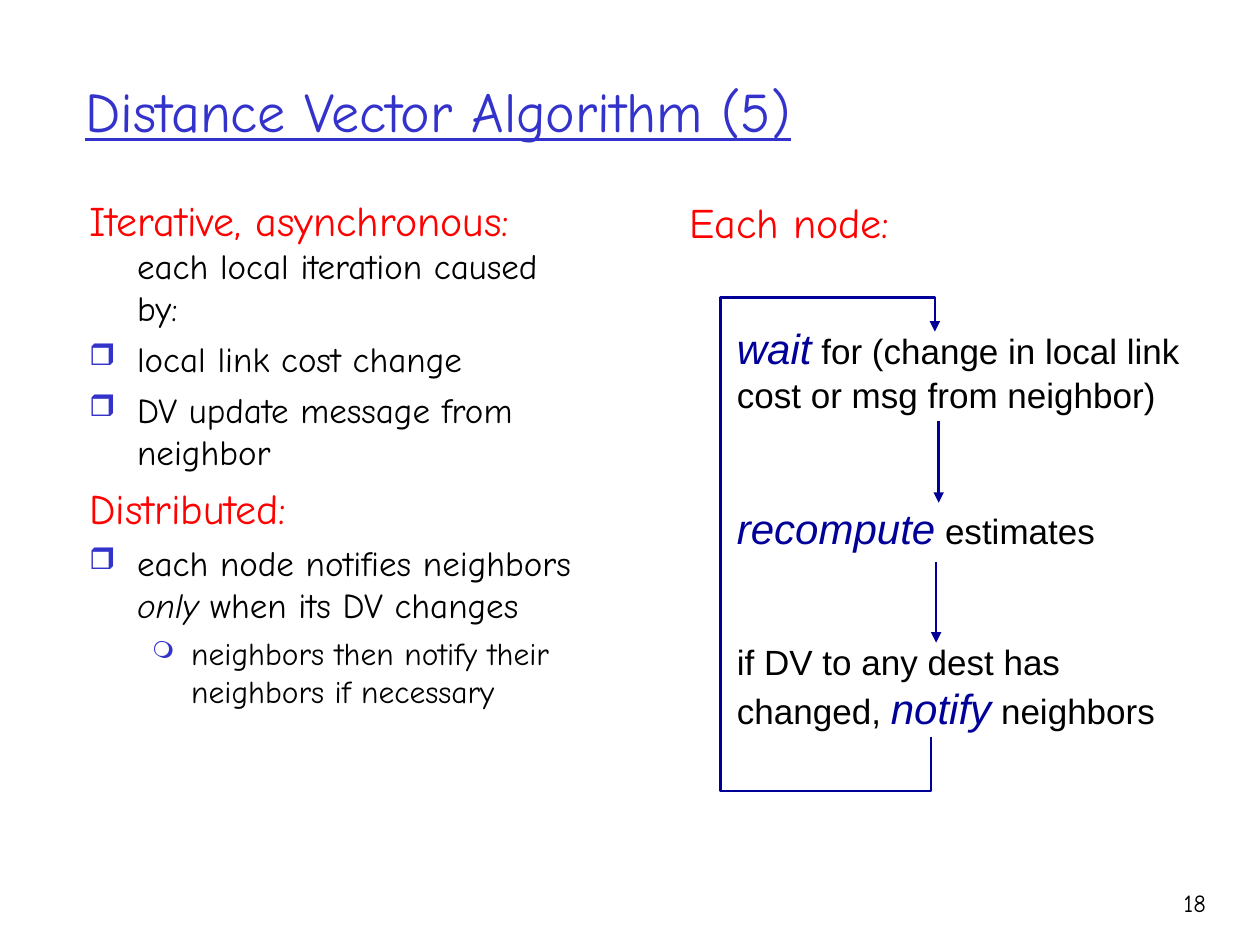
import pptx
import pptx.util
import pptx.dml.color
import pptx.enum.shapes
import pptx.enum.text
import pptx.oxml.ns
from lxml import etree

Pt = pptx.util.Pt
qn = pptx.oxml.ns.qn
Align = pptx.enum.text.PP_ALIGN
Anchor = pptx.enum.text.MSO_ANCHOR

THEME = {
    "hand": "Comic Neue", "sans": "Arial", "rule": 1.5,
    "blue": "3333CC", "navy": "000099", "red": "FF0000", "black": "000000",
    "title": 32, "head": 24, "text": 20, "sub": 18, "page": 14,
}

STYLE = {
    "title": ("hand", "title", "blue", "u"),
    "head": ("hand", "head", "red", ""),
    "text": ("hand", "text", "black", ""),
    "only": ("hand", "text", "black", "i"),
    "sub": ("hand", "sub", "black", ""),
    "page": ("hand", "page", "black", ""),
    "step": ("sans", "text", "black", ""),
    "verb": ("sans", "head", "navy", "i"),
}

LEVEL = {
    "plain": (0, 0, None, 0),
    "lead": (0.38, -0.38, None, 0),
    "item": (0.38, -0.38, "❒", 85),
    "sub": (0.81, -0.31, "❍", 75),
}

TITLE = [("plain", 0, [("title", "Distance Vector Algorithm (5)")])]
BODY = [
    ("lead", 0, [("head", "Iterative, asynchronous: "),
                 ("text", "each local iteration caused by:")]),
    ("item", 5, [("text", "local link cost change")]),
    ("item", 5, [("text", "DV update message from neighbor")]),
    ("lead", 6, [("head", "Distributed:")]),
    ("item", 5, [("text", "each node notifies neighbors "), ("only", "only"),
                 ("text", " when its DV changes")]),
    ("sub", 4.5, [("sub", "neighbors then notify their neighbors if necessary")]),
]
HEAD = [("plain", 0, [("head", "Each node:")])]
STEPS = [
    ("plain", 0, [("verb", "wait"),
                  ("step", " for (change in local link cost or msg from neighbor)")]),
    ("plain", 50, [("verb", "recompute"), ("step", " estimates")]),
    ("plain", 50, [("step", "if DV to any dest has changed, "), ("verb", "notify"),
                   ("step", " neighbors")]),
]
PAGE = [("plain", 0, [("page", "18")])]

BOXES = [
    (PAGE, (89.3, 93.3, 7.4, 6.7), Align.RIGHT, Anchor.TOP, True),
    (TITLE, (5.8, 3.3, 85, 16.7), Align.LEFT, Anchor.MIDDLE, True),
    (BODY, (6.1, 19.9, 41.4, 67.7), Align.LEFT, Anchor.TOP, True),
    (STEPS, (57.5, 33.5, 38.5, 50.8), Align.LEFT, Anchor.TOP, True),
    (HEAD, (53.7, 20.1, 17.9, 6.7), Align.CENTER, Anchor.TOP, False),
]
DROPS = [(74.5, 44.5, 53.2), (74.3, 59.5, 68)]
LOOP = [(73.9, 78), (73.9, 83.7), (57.2, 83.7),
        (57.2, 31.5), (74.2, 31.5), (74.2, 35.1)]

deck = pptx.Presentation()
deck.slide_width = pptx.util.Inches(10)
deck.slide_height = pptx.util.Inches(7.5)
slide = deck.slides.add_slide(deck.slide_layouts[6])


def across(share):
    return round(deck.slide_width * share / 100)


def down(share):
    return round(deck.slide_height * share / 100)


def color(name):
    return pptx.dml.color.RGBColor.from_string(THEME[name])


def add_run(para, kind, text):
    face, size, ink, marks = STYLE[kind]
    run = para.add_run()
    run.text = text
    font = run.font
    font.name = THEME[face]
    font.size = Pt(THEME[size])
    font.color.rgb = color(ink)
    font.italic = "i" in marks
    font.underline = "u" in marks


def indent(para, level):
    left, hang, mark, size = LEVEL[level]
    props = para._p.get_or_add_pPr()
    props.set("marL", str(pptx.util.Inches(left)))
    props.set("indent", str(pptx.util.Inches(hang)))
    if mark:
        tint = etree.SubElement(props, qn("a:buClr"))
        etree.SubElement(tint, qn("a:srgbClr"), val=THEME["blue"])
        etree.SubElement(props, qn("a:buSzPct"), val=str(size * 1000))
        etree.SubElement(props, qn("a:buChar"), char=mark)


def add_text(paras, place, align, anchor, wrap):
    x, y, w, h = place
    box = slide.shapes.add_textbox(across(x), down(y), across(w), down(h))
    frame = box.text_frame
    frame.word_wrap = wrap
    frame.vertical_anchor = anchor
    for i, (level, gap, runs) in enumerate(paras):
        para = frame.add_paragraph() if i else frame.paragraphs[0]
        indent(para, level)
        para.alignment = align
        para.space_before = Pt(gap)
        for kind, text in runs:
            add_run(para, kind, text)


def ink_line(shape):
    shape.line.color.rgb = color("navy")
    shape.line.width = Pt(THEME["rule"])
    props = shape._element.spPr
    etree.SubElement(props.find(qn("a:ln")), qn("a:tailEnd"), type="triangle")
    etree.SubElement(props, qn("a:effectLst"))


for box in BOXES:
    add_text(*box)

for x, top, end in DROPS:
    ink_line(slide.shapes.add_connector(
        pptx.enum.shapes.MSO_CONNECTOR.STRAIGHT,
        across(x), down(top), across(x), down(end)))

dots = [(across(x), down(y)) for x, y in LOOP]
path = slide.shapes.build_freeform(*dots[0])
path.add_line_segments(dots[1:], close=False)
loop = path.convert_to_shape()
loop.fill.background()
ink_line(loop)

deck.save("out.pptx")
